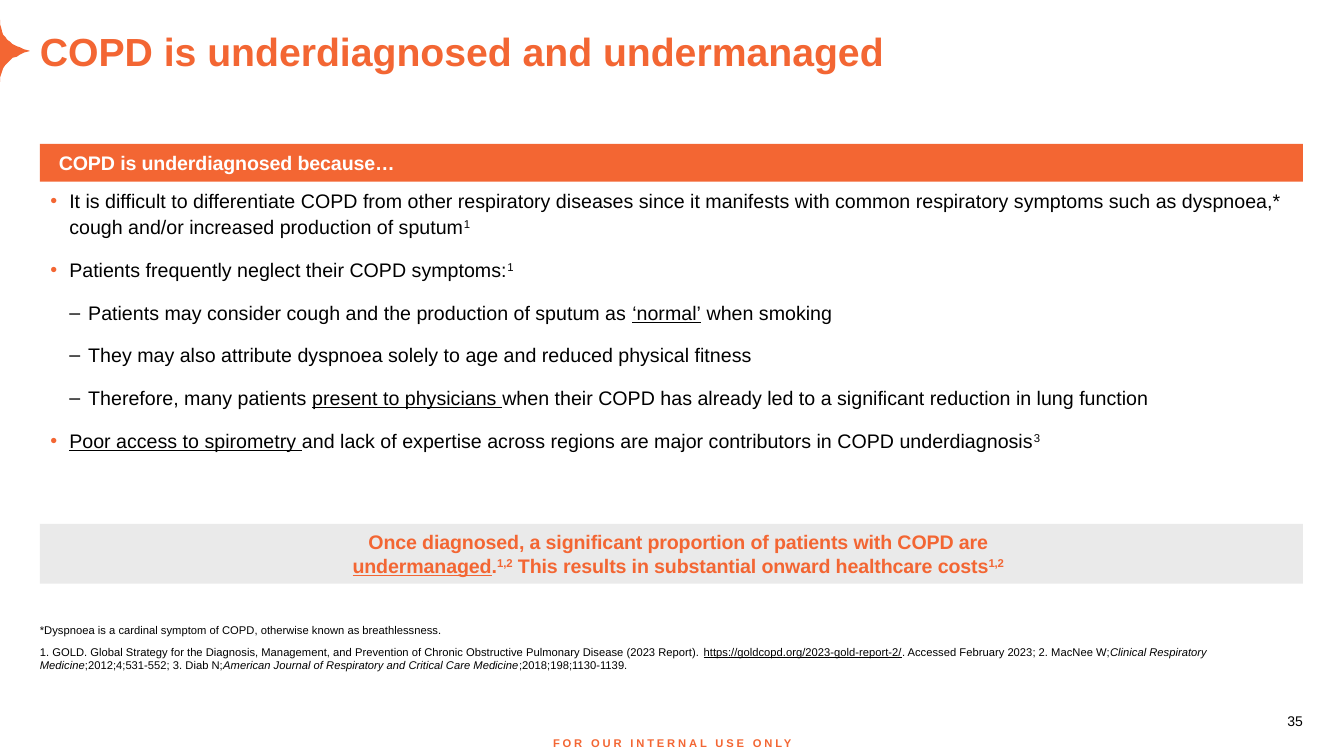
"""Build the slide on underdiagnosed and undermanaged COPD."""
from dataclasses import dataclass

from lxml import etree
from pptx import Presentation
from pptx import util as u
from pptx.dml.color import RGBColor
from pptx.enum import shapes, text
from pptx.oxml.ns import qn

PX = 9525
LEFT, WIDTH = 38, 1203
HANG = 18


@dataclass(frozen=True)
class Theme:
    """Colours, font and type sizes of the slide."""

    orange: str = "F36633"
    grey: str = "EAEAEA"
    black: str = "000000"
    white: str = "FFFFFF"
    font: str = "Arial"
    title: int = 28
    body: int = 14
    number: int = 10
    small: int = 8


THEME = Theme()
TITLE = {"size": THEME.title, "color": THEME.orange, "bold": True}
BODY = {"size": THEME.body, "color": THEME.black}
BAR = {"size": THEME.body, "color": THEME.white, "bold": True, "spc": -10}
CALLOUT = {**BAR, "color": THEME.orange}
NOTE = {"size": THEME.small, "color": THEME.black}
NUMBER = {"size": THEME.number, "color": THEME.black}
FOOTER = {"size": THEME.small, "color": THEME.orange, "bold": True, "spc": 200}

UNDERLINE = {"underline": True}
ITALIC = {"italic": True}
SUPER = {"baseline": 30000}

REASONS = [
    (1, ["It is difficult to differentiate COPD from other respiratory diseases since it "
         "manifests with common respiratory symptoms such as dyspnoea,* cough and/or "
         "increased production of sputum", ("1", SUPER)]),
    (1, ["Patients frequently neglect their COPD symptoms:", ("1", SUPER)]),
    (2, ["Patients may consider cough and the production of sputum as ",
         ("‘normal’", UNDERLINE), " when smoking"]),
    (2, ["They may also attribute dyspnoea solely to age and reduced physical fitness"]),
    (2, ["Therefore, many patients ", ("present to physicians ", UNDERLINE),
         "when their COPD has already led to a significant reduction in lung function"]),
    (1, [("Poor access to spirometry ", UNDERLINE),
         "and lack of expertise across regions are major contributors in COPD underdiagnosis",
         ("3", SUPER)]),
]
CONCLUSION = [
    ["Once diagnosed, a significant proportion of patients with COPD are"],
    [("undermanaged", UNDERLINE), ".", ("1,2", SUPER),
     " This results in substantial onward healthcare costs", ("1,2", SUPER)],
]
NOTES = [
    ["*Dyspnoea is a cardinal symptom of COPD, otherwise known as breathlessness."],
    ["1. GOLD. Global Strategy for the Diagnosis, Management, and Prevention of Chronic "
     "Obstructive Pulmonary Disease (2023 Report). ",
     ("https://goldcopd.org/2023-gold-report-2/", UNDERLINE),
     ". Accessed February 2023; 2. MacNee W;", ("Clinical Respiratory Medicine", ITALIC),
     ";2012;4;531-552; 3. Diab N;",
     ("American Journal of Respiratory and Critical Care Medicine", ITALIC),
     ";2018;198;1130-1139."],
]


def px(*lengths):
    """Turn pixel lengths into EMU."""
    return [u.Emu(length * PX) for length in lengths]


def set_all(target, values):
    """Set each named attribute on the target."""
    for name, value in values.items():
        setattr(target, name, value)


def add_runs(paragraph, pieces, style):
    """Add plain or specially formatted runs to a paragraph."""
    for piece in pieces:
        words, extra = (piece, {}) if isinstance(piece, str) else piece
        values = {"name": THEME.font, **style, **extra}
        values["size"] = u.Pt(values["size"])
        color = values.pop("color")
        raw = {key: values.pop(key) for key in ("spc", "baseline") if key in values}
        run = paragraph.add_run()
        run.text = words
        set_all(run.font, values)
        run.font.color.rgb = RGBColor.from_string(color)
        for key, value in raw.items():
            run.font._element.set(key, str(value))


def set_indent(paragraph, left, first=0):
    """Set the left margin and first-line indent of a paragraph."""
    properties = paragraph._p.get_or_add_pPr()
    for key, length in (("marL", left), ("indent", first)):
        properties.set(key, str(length * PX))


def set_bullet(paragraph, level):
    """Give a paragraph the bullet and hanging indent of its level."""
    set_indent(paragraph, HANG * level, -HANG)
    properties = paragraph._p.get_or_add_pPr()
    if level == 1:
        color = etree.SubElement(properties, qn("a:buClr"))
        etree.SubElement(color, qn("a:srgbClr")).set("val", THEME.orange)
    etree.SubElement(properties, qn("a:buFont")).set("typeface", THEME.font)
    etree.SubElement(properties, qn("a:buChar")).set("char", "•" if level == 1 else "–")


def write(shape, paragraphs, style, insets=(0, 0, 0, 0), anchor="BOTTOM", align="LEFT", gap=0):
    """Fill a shape with paragraphs and return them."""
    frame = shape.text_frame
    sides = ("margin_left", "margin_top", "margin_right", "margin_bottom")
    set_all(frame, {"word_wrap": True, "auto_size": text.MSO_AUTO_SIZE.NONE,
                    "vertical_anchor": text.MSO_ANCHOR[anchor], **dict(zip(sides, px(*insets)))})
    for index, pieces in enumerate(paragraphs):
        paragraph = frame.add_paragraph() if index else frame.paragraphs[0]
        set_all(paragraph, {"alignment": text.PP_ALIGN[align],
                            "space_before": u.Pt(gap if index else 0),
                            "space_after": u.Pt(gap)})
        add_runs(paragraph, pieces, style)
    return frame.paragraphs


def paint(shape, color):
    """Give a shape a flat fill without line or shadow."""
    shape.shadow.inherit = False
    shape.fill.solid()
    shape.fill.fore_color.rgb = RGBColor.from_string(color)
    shape.line.fill.background()


def add_text(slide, box, paragraphs, style, **layout):
    """Add a text box and return its paragraphs."""
    return write(slide.shapes.add_textbox(*px(*box)), paragraphs, style, **layout)


def add_band(slide, top, height, color, paragraphs, style, align):
    """Add a full-width coloured band with text."""
    band = slide.shapes.add_shape(shapes.MSO_SHAPE.RECTANGLE, *px(LEFT, top, WIDTH, height))
    paint(band, color)
    for paragraph in write(band, paragraphs, style, (10, 5, 5, 5), "MIDDLE", align):
        set_indent(paragraph, 8)


def curve(start, first, second, end, steps=12):
    """Return points along a cubic curve after its start."""
    points = []
    for step in range(1, steps + 1):
        t = step / steps
        weights = ((1 - t) ** 3, 3 * t * (1 - t) ** 2, 3 * t * t * (1 - t), t ** 3)
        points.append(tuple(sum(weight * point[axis] for weight, point
                                in zip(weights, (start, first, second, end)))
                            for axis in (0, 1)))
    return points


def add_edge_point(slide):
    """Add the curved pointer at the left edge beside the title."""
    points = (curve((0, 19), (0, 35), (10, 43), (27, 48))
              + curve((27, 48), (28, 48), (28, 49), (27, 49))
              + curve((27, 49), (10, 54), (0, 63), (0, 78)))
    builder = slide.shapes.build_freeform(0, 19, scale=PX)
    builder.add_line_segments(points, close=True)
    paint(builder.convert_to_shape(), THEME.orange)


def add_title(slide, words):
    """Place and format the title placeholder."""
    title = slide.shapes.title
    set_all(title, dict(zip(("left", "top", "width", "height"), px(LEFT, 26, WIDTH, 45))))
    write(title, [[words]], TITLE)


def add_reasons(slide):
    """Add the two-level bullet list."""
    paragraphs = add_text(slide, (LEFT, 173, WIDTH, 263), [pieces for _, pieces in REASONS],
                          BODY, insets=(10, 5, 10, 5), anchor="TOP", gap=6)
    for paragraph, (level, _) in zip(paragraphs, REASONS):
        paragraph.line_spacing = 1.1
        set_bullet(paragraph, level)


def main():
    """Build and save the presentation."""
    presentation = Presentation()
    set_all(presentation, dict(zip(("slide_width", "slide_height"), px(1280, 720))))
    slide = presentation.slides.add_slide(presentation.slide_layouts[5])
    add_text(slide, (479, 696, 323, 23), [["FOR OUR INTERNAL USE ONLY"]], FOOTER,
             insets=(10, 5, 10, 5), anchor="TOP", align="CENTER")
    add_edge_point(slide)
    add_title(slide, "COPD is underdiagnosed and undermanaged")
    add_band(slide, 137, 36, THEME.orange, [["COPD is underdiagnosed because…"]], BAR, "LEFT")
    add_reasons(slide)
    add_band(slide, 499, 57, THEME.grey, CONCLUSION, CALLOUT, "CENTER")
    add_text(slide, (LEFT, 608, WIDTH, 32), NOTES, NOTE, gap=3)
    add_text(slide, (1185, 666, 56, 29), [["35"]], NUMBER, align="RIGHT")
    presentation.save("out.pptx")


if __name__ == "__main__":
    main()
